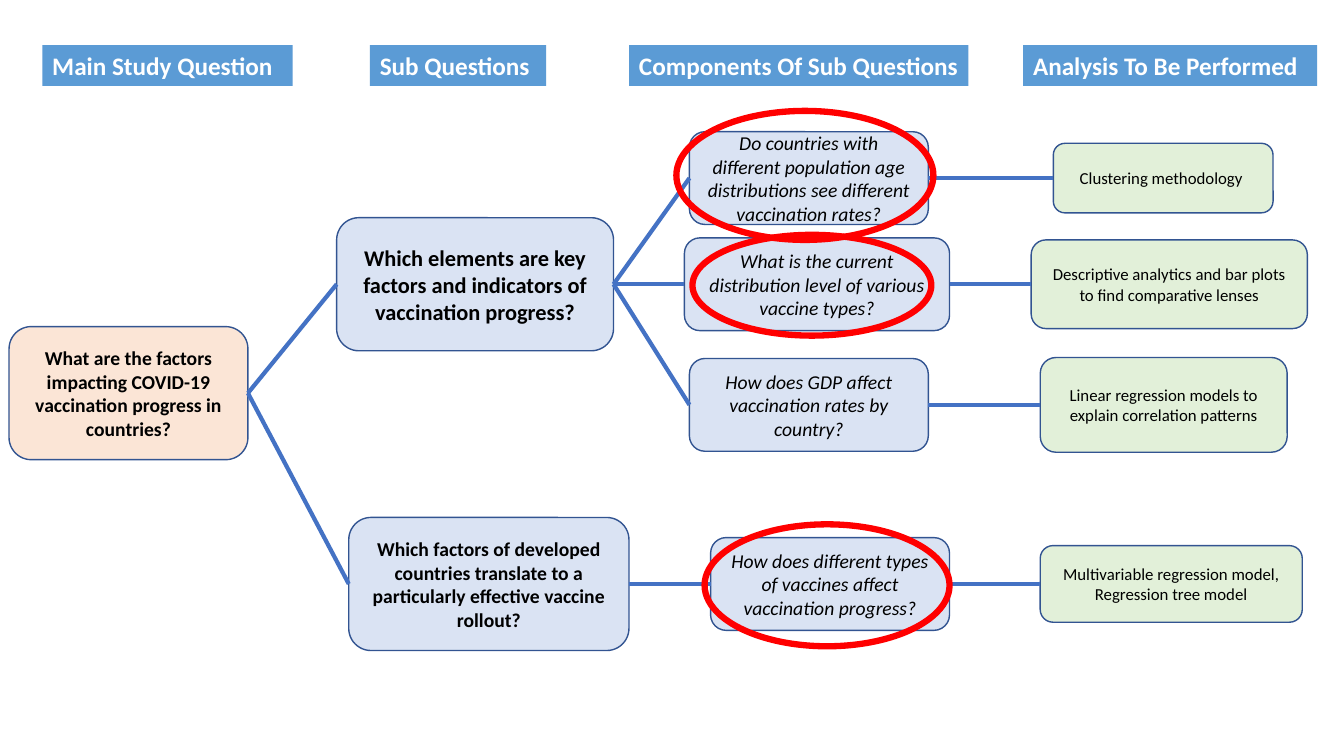
from dataclasses import dataclass

from lxml.etree import SubElement
from pptx import Presentation
from pptx.dml.color import RGBColor
from pptx.enum.shapes import MSO_CONNECTOR, MSO_SHAPE
from pptx.enum.text import MSO_ANCHOR, PP_ALIGN
from pptx.oxml.ns import qn
from pptx.util import Inches, Pt

COLUMNS, ROWS = 40, 22.5
LEFT_SIDE, RIGHT_SIDE = 1, 3


@dataclass(frozen=True)
class Theme:
    font: str = "Calibri"
    header_fill: str = "5B9BD5"
    header_text: str = "FFFFFF"
    text: str = "000000"
    main_fill: str = "FBE5D6"
    question_fill: str = "DAE3F3"
    analysis_fill: str = "E2F0D9"
    outline: str = "325491"
    link: str = "4472C4"
    highlight: str = "FF0000"
    header_size: int = 18
    lead_size: int = 16
    question_size: int = 14
    analysis_size: int = 12
    outline_width: float = 1
    link_width: float = 3
    highlight_width: float = 4.5


class QuestionTree:
    """Draws on one page; boxes are placed by left column and centre row."""

    def __init__(self, deck, theme):
        self.theme = theme
        self.page = deck.slides.add_slide(deck.slide_layouts[6])
        self.column = deck.slide_width / COLUMNS
        self.row = deck.slide_height / ROWS

    def frame(self, left, centre, width, height):
        return (round(left * self.column), round((centre - height / 2) * self.row),
                round(width * self.column), round(height * self.row))

    def label(self, box, text, size, color, align, bold=False, italic=False):
        box.text_frame.word_wrap = True
        box.text_frame.text = text
        for para in box.text_frame.paragraphs:
            para.alignment = align
            font = para.font
            font.name, font.size = self.theme.font, Pt(size)
            font.bold, font.italic = bold, italic
            font.color.rgb = RGBColor.from_string(color)

    def stroke(self, line, color, width):
        line.color.rgb = RGBColor.from_string(color)
        line.width = Pt(width)

    def header(self, text, left, width):
        box = self.page.shapes.add_textbox(*self.frame(left, 1.95, width, 1.21))
        box.fill.solid()
        box.fill.fore_color.rgb = RGBColor.from_string(self.theme.header_fill)
        self.label(box, text, self.theme.header_size, self.theme.header_text,
                   PP_ALIGN.LEFT, bold=True)

    def node(self, text, place, fill, size, **style):
        box = self.page.shapes.add_shape(MSO_SHAPE.ROUNDED_RECTANGLE, *self.frame(*place))
        box.shadow.inherit = False
        box.fill.solid()
        box.fill.fore_color.rgb = RGBColor.from_string(fill)
        self.stroke(box.line, self.theme.outline, self.theme.outline_width)
        box.text_frame.vertical_anchor = MSO_ANCHOR.MIDDLE
        self.label(box, text, size, self.theme.text, PP_ALIGN.CENTER, **style)
        return box

    def link(self, parent, child):
        line = self.page.shapes.add_connector(MSO_CONNECTOR.STRAIGHT, 0, 0, 0, 0)
        line.begin_connect(parent, RIGHT_SIDE)
        line.end_connect(child, LEFT_SIDE)
        self.stroke(line.line, self.theme.link, self.theme.link_width)
        SubElement(line._element.spPr, qn("a:effectLst"))

    def highlight(self, *place):
        ring = self.page.shapes.add_shape(MSO_SHAPE.OVAL, *self.frame(*place))
        ring.shadow.inherit = False
        ring.fill.background()
        self.stroke(ring.line, self.theme.highlight, self.theme.highlight_width)


HEADERS = [
    ("Main Study Question", 1.26, 7.45),
    ("Sub Questions", 11.01, 5.25),
    ("Components Of Sub Questions", 18.72, 10.1),
    ("Analysis To Be Performed", 30.45, 8.75),
]

MAIN_QUESTION = "What are the factors impacting COVID-19 vaccination progress in countries?"

# Sub question, left, centre row, width, type size, then its components:
# centre row, (question, left, width), (analysis, left, width, height)
BRANCHES = [
    ("Which elements are key factors and indicators of vaccination progress?",
     10.02, 8.46, 8.24, Theme.lead_size, [
         (5.3,
          ("Do countries with different population age distributions see different vaccination rates?",
           20.52, 7.11),
          ("Clustering methodology ", 31.35, 6.54, 2.07)),
         (8.46,
          ("What is the current distribution level of various vaccine types?", 20.37, 7.89),
          ("Descriptive analytics and bar plots to find comparative lenses", 30.69, 8.22, 2.64)),
         (12.05,
          ("How does GDP affect vaccination rates by country?", 20.52, 7.11),
          ("Linear regression models to explain correlation patterns", 30.96, 7.35, 2.82)),
     ]),
    ("Which factors of developed countries translate to a particularly effective vaccine rollout?",
     10.38, 17.38, 8.34, Theme.question_size, [
         (17.38,
          ("How does different types of vaccines affect vaccination progress?", 21.15, 7.11),
          ("Multivariable regression model,\nRegression tree model", 30.96, 7.8, 2.28)),
     ]),
]

HIGHLIGHTS = [
    (20.61, 8.49, 7.11, 3),
    (20.97, 17.42, 7.29, 3.63),
    (20.13, 5.22, 7.65, 3.84),
]

QUESTION_HEIGHT, COMPONENT_HEIGHT = 3.96, 2.76


def main():
    deck = Presentation()
    deck.slide_width, deck.slide_height = Inches(13.33), Inches(7.5)
    theme = Theme()
    tree = QuestionTree(deck, theme)

    for header in HEADERS:
        tree.header(*header)

    root = tree.node(MAIN_QUESTION, (0.27, 11.7, 7.11, QUESTION_HEIGHT),
                     theme.main_fill, theme.question_size, bold=True)
    for text, left, centre, width, size, components in BRANCHES:
        sub_question = tree.node(text, (left, centre, width, QUESTION_HEIGHT),
                                 theme.question_fill, size, bold=True)
        tree.link(root, sub_question)
        for row, (question, left, width), (method, method_left, *method_size) in components:
            component = tree.node(question, (left, row, width, COMPONENT_HEIGHT),
                                  theme.question_fill, theme.question_size, italic=True)
            analysis = tree.node(method, (method_left, row, *method_size),
                                 theme.analysis_fill, theme.analysis_size)
            tree.link(sub_question, component)
            tree.link(component, analysis)

    for place in HIGHLIGHTS:
        tree.highlight(*place)
    deck.save("out.pptx")


if __name__ == "__main__":
    main()
